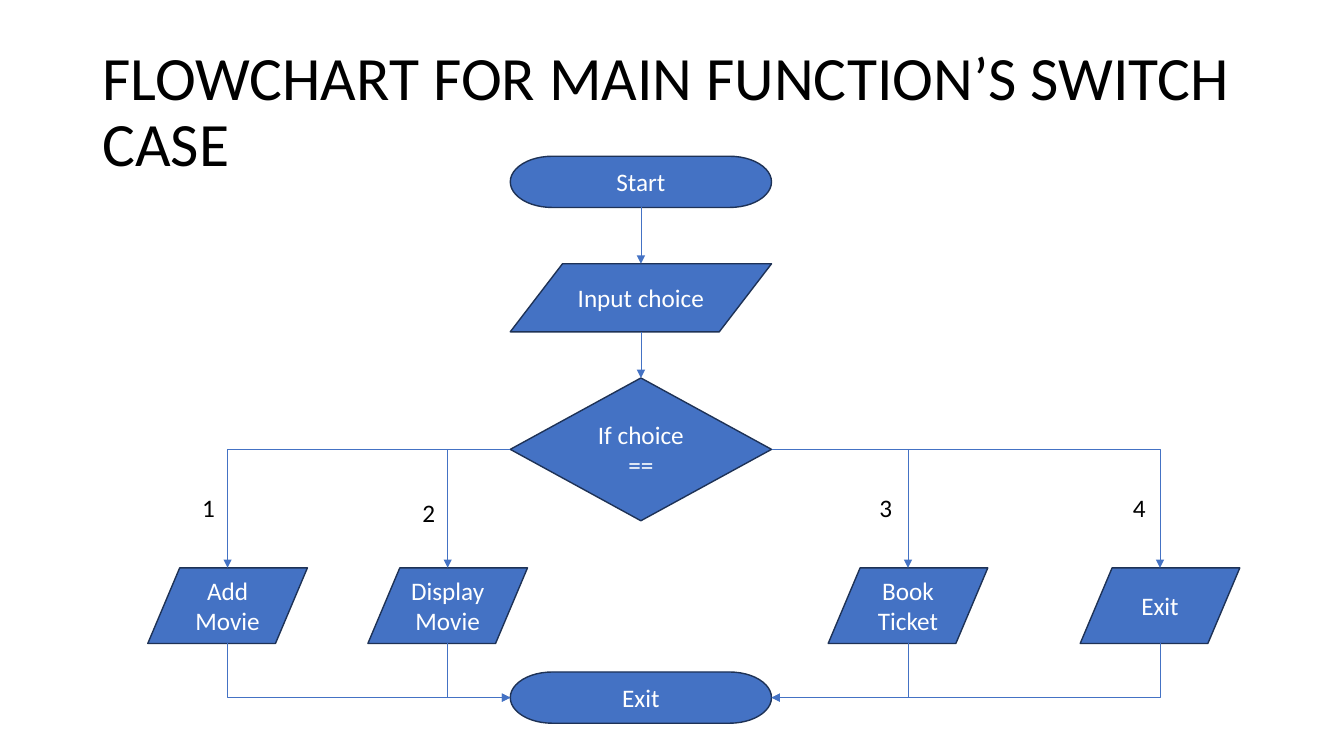
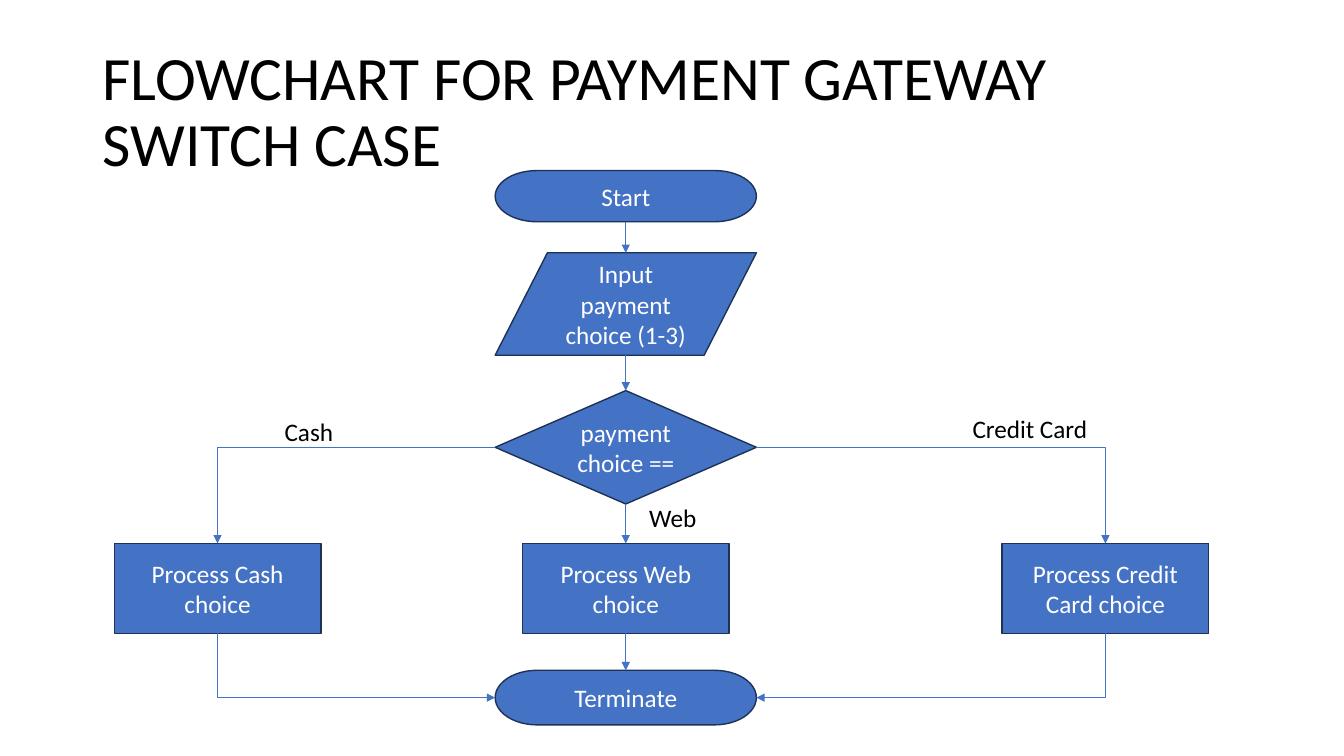
from collections import namedtuple

from lxml.etree import SubElement
from pptx import Presentation
from pptx.dml.color import RGBColor
from pptx.enum.shapes import MSO_CONNECTOR as Link, MSO_SHAPE as Shape
from pptx.enum.text import MSO_ANCHOR as Anchor, PP_ALIGN as Align
from pptx.oxml.ns import qn
from pptx.util import Emu, Inches, Pt

# Shared look
COLORS = {"node": "4472C4", "edge": "1E3256", "arrow": "4472C4",
          "node_text": "FFFFFF", "text": "000000"}
FONT = "Calibri"
SLIDE_W, SLIDE_H = Inches(13.333), Inches(7.5)
COLUMNS, ROWS = 80, 45
TITLE_BOX = (5.5, 2.4, 69, 8.7)
SPINE_W = 15.55
LABEL_H = 2.4
TOP, LEFT, BOTTOM, RIGHT = range(4)
TITLE_ONLY = 5

# Sizes are grid cells; positions count from the flow's box
Flow = namedtuple("Flow", "title box axis steps branch_row branch_size branch_kind branches end")
Step = namedtuple("Step", "kind text top height")
Branch = namedtuple("Branch", "text center label label_dx label_top label_width")

FLOWS = [
    Flow("FLOWCHART FOR MAIN FUNCTION’S SWITCH CASE",
         box=(8.8, 9.3), axis=29.35,
         steps=[Step(Shape.FLOWCHART_TERMINATOR, "Start", 0, 3.05),
                Step(Shape.FLOWCHART_DATA, "Input choice", 6.4, 4.05),
                Step(Shape.FLOWCHART_DECISION, "If choice ==", 13.2, 8.5)],
         branch_row=24.5, branch_size=(9.5, 4.5), branch_kind=Shape.FLOWCHART_DATA,
         branches=[Branch("Add Movie", 4.75, "1", -2.1, 19.7, 3.35),
                   Branch("Display Movie", 17.85, "2", -2.1, 20, 3.35),
                   Branch("Book Ticket", 45.25, "3", -2.3, 19.7, 3.35),
                   Branch("Exit", 60.25, "4", -2.2, 19.7, 3.35)],
         end=Step(Shape.FLOWCHART_TERMINATOR, "Exit", 30.7, 3.05)),
    Flow("FLOWCHART FOR PAYMENT GATEWAY SWITCH CASE",
         box=(6.8, 10.15), axis=30.45,
         steps=[Step(Shape.FLOWCHART_TERMINATOR, "Start", 0, 3.05),
                Step(Shape.FLOWCHART_DATA, "Input payment choice (1-3)", 4.9, 6.1),
                Step(Shape.FLOWCHART_DECISION, "payment choice ==", 13.1, 6.75)],
         branch_row=22.2, branch_size=(12.3, 5.35), branch_kind=Shape.FLOWCHART_PROCESS,
         branches=[Branch("Process Cash choice", 6.15, "Cash", 3.4, 14.35, 6.95),
                   Branch("Process Web choice", 30.45, "Web", 0.8, 19.45, 6.95),
                   Branch("Process Credit Card choice", 59, "Credit Card", -8.5, 14.15, 10.7)],
         end=Step(Shape.FLOWCHART_TERMINATOR, "Terminate", 29.75, 3.25)),
]


def cells(left, top, width, height):
    """Turn grid cells into lengths on the slide."""
    col, row = SLIDE_W / COLUMNS, SLIDE_H / ROWS
    return Emu(int(left * col)), Emu(int(top * row)), Emu(int(width * col)), Emu(int(height * row))


def color(name):
    return RGBColor.from_string(COLORS[name])


def write(frame, text, size, ink, align):
    frame.word_wrap = True
    paragraph = frame.paragraphs[0]
    paragraph.alignment = align
    run = paragraph.add_run()
    run.text = text
    run.font.name, run.font.size = FONT, Pt(size)
    run.font.color.rgb = color(ink)
    return paragraph


def add_title(slide, text):
    title = slide.shapes.title
    title.left, title.top, title.width, title.height = cells(*TITLE_BOX)
    title.text_frame.vertical_anchor = Anchor.MIDDLE
    write(title.text_frame, text, 44, "text", Align.LEFT).line_spacing = 0.9


def add_node(slide, kind, text, box):
    node = slide.shapes.add_shape(kind, *cells(*box))
    node.shadow.inherit = False
    node.fill.solid()
    node.fill.fore_color.rgb = color("node")
    node.line.color.rgb = color("edge")
    node.line.width = Pt(1)
    node.text_frame.vertical_anchor = Anchor.MIDDLE
    write(node.text_frame, text, 18, "node_text", Align.CENTER)
    return node


def add_label(slide, text, box):
    label = slide.shapes.add_textbox(*cells(*box))
    write(label.text_frame, text, 18, "text", Align.LEFT)


def side(node, which):
    """Middle point of one side of a node."""
    mid_x, mid_y = node.left + node.width // 2, node.top + node.height // 2
    return {TOP: (mid_x, node.top), LEFT: (node.left, mid_y),
            BOTTOM: (mid_x, node.top + node.height),
            RIGHT: (node.left + node.width, mid_y)}[which]


def add_arrow(slide, kind, start, end):
    arrow = slide.shapes.add_connector(kind, *start, *end)
    arrow.line.color.rgb = color("arrow")
    arrow.line.width = Pt(0.5)
    SubElement(arrow.line._get_or_add_ln(), qn("a:tailEnd"), type="triangle")
    SubElement(arrow._element.spPr, qn("a:effectLst"))
    return arrow


def arrow_down(slide, upper, lower):
    arrow = add_arrow(slide, Link.STRAIGHT, side(upper, BOTTOM), side(lower, TOP))
    # Parallelograms number their connection points differently
    if upper.auto_shape_type != Shape.FLOWCHART_DATA:
        arrow.begin_connect(upper, BOTTOM)
    if lower.auto_shape_type != Shape.FLOWCHART_DATA:
        arrow.end_connect(lower, TOP)


def add_elbow(slide, start, end, down_first=False):
    """One-bend arrow: across then down, or down then across."""
    arrow = add_arrow(slide, Link.ELBOW, start, end)
    arrow._element.spPr.find(qn("a:prstGeom")).set("prst", "bentConnector2")
    if down_first:
        (x1, y1), (x2, y2) = start, end
        xfrm = arrow._element.spPr.find(qn("a:xfrm"))
        rightward = x2 > x1
        xfrm.set("flipH", "1" if rightward else "0")
        xfrm.set("rot", str((270 if rightward else 90) * 60000))
        width, height = abs(y2 - y1), abs(x2 - x1)
        arrow.left, arrow.top = (x1 + x2 - width) // 2, (y1 + y2 - height) // 2
        arrow.width, arrow.height = width, height


def add_spine(slide, flow):
    """Central column: the steps, then the end node."""
    left, top = flow.box
    nodes = [add_node(slide, step.kind, step.text,
                      (left + flow.axis - SPINE_W / 2, top + step.top, SPINE_W, step.height))
             for step in flow.steps + [flow.end]]
    *steps, end = nodes
    for upper, lower in zip(steps, steps[1:]):
        arrow_down(slide, upper, lower)
    return steps[-1], end


def add_branches(slide, flow, decision, end):
    """Cases leaving the decision and meeting at the end node."""
    left, top = flow.box
    width, height = flow.branch_size
    for branch in flow.branches:
        center = left + branch.center
        case = add_node(slide, flow.branch_kind, branch.text,
                        (center - width / 2, top + flow.branch_row, width, height))
        if branch.center == flow.axis:
            arrow_down(slide, decision, case)
            arrow_down(slide, case, end)
        else:
            facing = LEFT if branch.center < flow.axis else RIGHT
            add_elbow(slide, side(decision, facing), side(case, TOP))
            add_elbow(slide, side(case, BOTTOM), side(end, facing), down_first=True)
        add_label(slide, branch.label, (center + branch.label_dx, top + branch.label_top,
                                        branch.label_width, LABEL_H))


def add_flow_slide(deck, flow):
    slide = deck.slides.add_slide(deck.slide_layouts[TITLE_ONLY])
    add_title(slide, flow.title)
    decision, end = add_spine(slide, flow)
    add_branches(slide, flow, decision, end)


def main():
    deck = Presentation()
    deck.slide_width, deck.slide_height = SLIDE_W, SLIDE_H
    for flow in FLOWS:
        add_flow_slide(deck, flow)
    deck.save("out.pptx")


if __name__ == "__main__":
    main()
